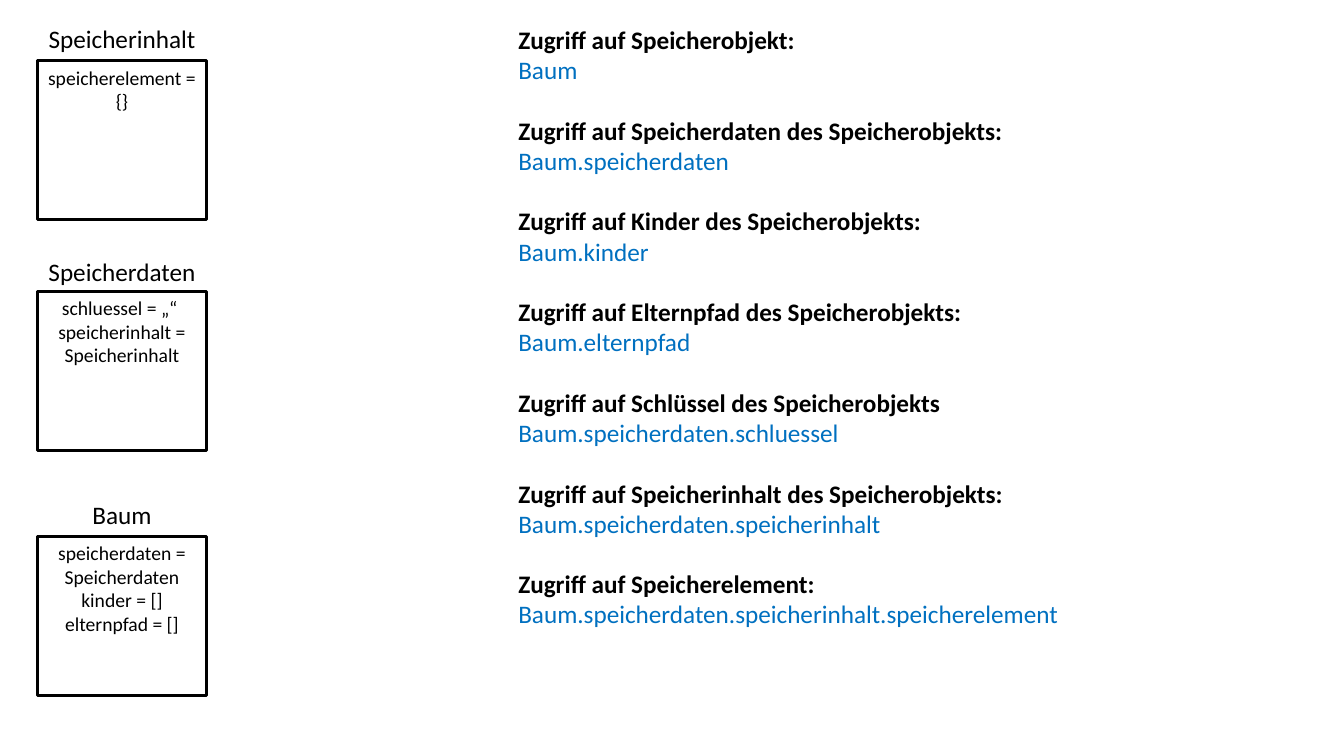
import dataclasses

import pptx
import pptx.dml.color
import pptx.enum.shapes
import pptx.enum.text
import pptx.util
from pptx.util import Inches

ALIGN = pptx.enum.text.PP_ALIGN
BLACK, BLUE = "000000", "0070C0"
LEFT, WIDTH, SIDE = 0.37, 1.68, 1.58


@dataclasses.dataclass
class Card:
    name: str
    top: float
    head: float
    high: float
    lines: list[str]


@dataclasses.dataclass
class Access:
    goal: str
    code: str


CARDS = [
    Card("Speicherinhalt", 0.6, 0.18, 0.57, ["speicherelement = {}"]),
    Card("Speicherdaten", 2.89, 2.49, 0.81,
         ["schluessel = „“ ", "speicherinhalt = Speicherinhalt"]),
    Card("Baum", 5.32, 4.9, 1.04,
         ["speicherdaten = Speicherdaten", "kinder = []", "elternpfad = []"]),
]

ITEMS = [
    Access("Speicherobjekt:", "Baum"),
    Access("Speicherdaten des Speicherobjekts:", "Baum.speicherdaten"),
    Access("Kinder des Speicherobjekts:", "Baum.kinder"),
    Access("Elternpfad des Speicherobjekts:", "Baum.elternpfad"),
    Access("Schlüssel des Speicherobjekts", "Baum.speicherdaten.schluessel"),
    Access("Speicherinhalt des Speicherobjekts:", "Baum.speicherdaten.speicherinhalt"),
    Access("Speicherelement:", "Baum.speicherdaten.speicherinhalt.speicherelement"),
]


def color(code: str) -> pptx.dml.color.RGBColor:
    return pptx.dml.color.RGBColor.from_string(code)


def apply(target, values: dict) -> None:
    for key, value in values.items():
        setattr(target, key, value)


def style(para, size: float, tint: str = BLACK, bold: bool = False, **format) -> None:
    apply(para.font, {"name": "Calibri", "size": pptx.util.Pt(size), "bold": bold})
    para.font.color.rgb = color(tint)
    apply(para, format)


def write(frame, lines: list[str]) -> list:
    frame.text = "\n".join(lines)
    return list(frame.paragraphs)


def label(slide, top: float, high: float, lines: list[str], size: float, wrap: bool) -> None:
    box = slide.shapes.add_textbox(Inches(LEFT), Inches(top), Inches(WIDTH), Inches(high))
    box.text_frame.word_wrap = wrap
    for para in write(box.text_frame, lines):
        style(para, size, alignment=ALIGN.CENTER)


def draw(slide, card: Card) -> None:
    rect = slide.shapes.add_shape(
        pptx.enum.shapes.MSO_SHAPE.RECTANGLE,
        Inches(LEFT), Inches(card.top), Inches(WIDTH), Inches(SIDE))
    rect.shadow.inherit = False
    rect.fill.background()
    rect.line.color.rgb = color(BLACK)
    rect.line.width = pptx.util.Pt(2)
    label(slide, card.top, card.high, card.lines, 14, True)
    label(slide, card.head, 0.4, [card.name], 18, False)


def plain(para) -> None:
    """Drop the bullet and indent of the list style."""
    props = para._p.get_or_add_pPr()
    apply_xml = {"marL": "0", "indent": "0"}
    for key, value in apply_xml.items():
        props.set(key, value)
    props.append(pptx.oxml.parse_xml(
        '<a:buNone xmlns:a="http://schemas.openxmlformats.org/drawingml/2006/main"/>'))


def explain(body, items: list[Access]) -> None:
    apply(body, {"left": Inches(5.04), "top": Inches(0.19),
                 "width": Inches(5.62), "height": Inches(6.16)})
    apply(body.text_frame, {
        "word_wrap": True,
        "auto_size": pptx.enum.text.MSO_AUTO_SIZE.NONE,
        "vertical_anchor": pptx.enum.text.MSO_ANCHOR.TOP})
    lines = [text for item in items for text in ("Zugriff auf " + item.goal, item.code)]
    for pos, para in enumerate(write(body.text_frame, lines)):
        goal = pos % 2 == 0
        gap = 21.6 if goal and pos else 0
        style(para, 18, BLACK if goal else BLUE, goal, alignment=ALIGN.LEFT,
              space_before=pptx.util.Pt(gap), space_after=pptx.util.Pt(0))
        plain(para)


# Slide with a list and no title
deck = pptx.Presentation()
apply(deck, {"slide_width": Inches(13.33), "slide_height": Inches(7.5)})
slide = deck.slides.add_slide(deck.slide_layouts[1])
title = slide.shapes.title.element
title.getparent().remove(title)

# Class cards on the left
for card in CARDS:
    draw(slide, card)

# Access paths on the right
explain(slide.placeholders[1], ITEMS)

deck.save("out.pptx")
